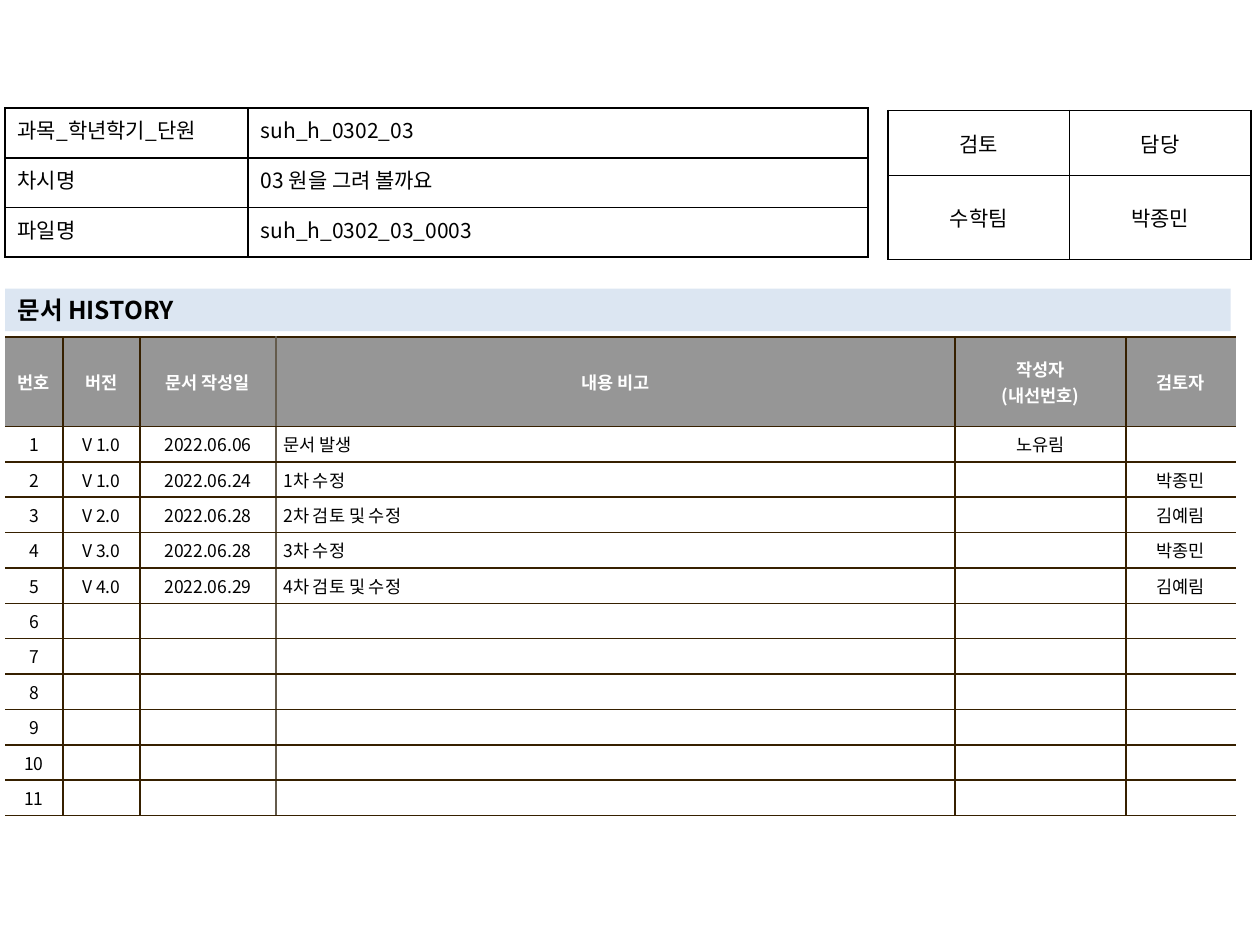
from lxml.etree import SubElement
from pptx import Presentation
from pptx.dml.color import RGBColor
from pptx.enum.shapes import MSO_SHAPE
from pptx.enum.text import MSO_ANCHOR, PP_ALIGN
from pptx.oxml.ns import qn
from pptx.util import Pt

FONT = "Noto Sans CJK KR"
BLACK = RGBColor(0x00, 0x00, 0x00)
WHITE = RGBColor(0xFF, 0xFF, 0xFF)
GRAY = RGBColor(0x96, 0x96, 0x96)
BROWN = RGBColor(0x36, 0x20, 0x00)
TAUPE = RGBColor(0x64, 0x5B, 0x4C)
PALE_BLUE = RGBColor(0xDC, 0xE6, 0xF2)

HEADING = "문서 HISTORY"
HISTORY_HEADER = ["번호", "버전", "문서 작성일", "내용 비고", "작성자\n(내선번호)", "검토자"]
HISTORY_ENTRIES = [
    ["V 1.0", "2022.06.06", "문서 발생", "노유림", ""],
    ["V 1.0", "2022.06.24", "1차 수정", "", "박종민"],
    ["V 2.0", "2022.06.28", "2차 검토 및 수정", "", "김예림"],
    ["V 3.0", "2022.06.28", "3차 수정", "", "박종민"],
    ["V 4.0", "2022.06.29", "4차 검토 및 수정", "", "김예림"],
]
HISTORY_ROW_COUNT = 11
HISTORY_COLUMNS = [33, 44, 77.8, 388, 97.8, 62.6]
NOTE_COLUMN = 3

APPROVAL = [["검토", "담당"], ["수학팀", "박종민"]]
LESSON = [
    ["과목_학년학기_단원", "suh_h_0302_03"],
    ["차시명", "03 원을 그려 볼까요"],
    ["파일명", "suh_h_0302_03_0003"],
]

HISTORY_MARGINS = {"margin_left": Pt(4.3), "margin_right": Pt(4.3),
                   "margin_top": Pt(2.9), "margin_bottom": Pt(2.9)}
WIDE_MARGINS = {"margin_left": Pt(7.2), "margin_right": Pt(7.2),
                "margin_top": Pt(3.6), "margin_bottom": Pt(3.6)}


def write_text(text_frame, text, alignment, size, color, bold=False):
    text_frame.text = text
    for paragraph in text_frame.paragraphs:
        paragraph.alignment = alignment
        if not paragraph.runs:
            SubElement(paragraph._p, qn("a:endParaRPr"), sz=str(size * 100))
        for run in paragraph.runs:
            run.font.color.rgb = color
            for name, value in {"name": FONT, "size": Pt(size), "bold": bold}.items():
                setattr(run.font, name, value)
            SubElement(run._r.get_or_add_rPr(), qn("a:ea"), typeface=FONT)


def draw_borders(cell, borders):
    properties = cell._tc.get_or_add_tcPr()
    for side in "LRTB":
        color = borders.get(side)
        line = SubElement(properties, qn(f"a:ln{side}"), w=str(Pt(1)))
        if color is None:
            SubElement(line, qn("a:noFill"))
        else:
            fill = SubElement(line, qn("a:solidFill"))
            SubElement(fill, qn("a:srgbClr"), val=str(color))


def add_grid(slide, rows, left, top, widths, heights, cell_format):
    frame = slide.shapes.add_table(len(rows), len(widths), Pt(left), Pt(top),
                                   Pt(sum(widths)), Pt(sum(heights)))
    table = frame.table
    table.first_row = False
    table.horz_banding = False
    for column, width in zip(table.columns, widths):
        column.width = Pt(width)
    for row, height in zip(table.rows, heights):
        row.height = Pt(height)
    for row_index, texts in enumerate(rows):
        for column_index, text in enumerate(texts):
            cell = table.cell(row_index, column_index)
            style = cell_format(row_index, column_index)
            for name, value in style["cell"].items():
                setattr(cell, name, value)
            draw_borders(cell, style["borders"])
            if style["fill"] is None:
                cell.fill.background()
            else:
                cell.fill.solid()
                cell.fill.fore_color.rgb = style["fill"]
            write_text(cell.text_frame, text, **style["text"])


def history_format(row, column):
    header = row == 0
    borders = dict.fromkeys("LRTB", BROWN)
    if column == 0:
        del borders["L"]
    if column == len(HISTORY_COLUMNS) - 1:
        del borders["R"]
    if column == NOTE_COLUMN - 1:
        borders["R"] = TAUPE
    if column == NOTE_COLUMN:
        borders["L"] = TAUPE
    is_note = column == NOTE_COLUMN and not header
    return {
        "cell": {**HISTORY_MARGINS, "vertical_anchor": MSO_ANCHOR.MIDDLE},
        "borders": borders,
        "fill": GRAY if header else WHITE,
        "text": {"alignment": PP_ALIGN.LEFT if is_note else PP_ALIGN.CENTER,
                 "size": 10, "color": WHITE if header else BLACK, "bold": header},
    }


def boxed_format(anchor, alignments):
    return lambda row, column: {
        "cell": {**WIDE_MARGINS, "vertical_anchor": anchor},
        "borders": dict.fromkeys("LRTB", BLACK),
        "fill": None,
        "text": {"alignment": alignments[column], "size": 12, "color": BLACK},
    }


def add_heading(slide):
    shape = slide.shapes.add_shape(MSO_SHAPE.RECTANGLE, Pt(2.9), Pt(165), Pt(700.3), Pt(24.2))
    shape.shadow.inherit = False
    shape.fill.solid()
    shape.fill.fore_color.rgb = PALE_BLUE
    shape.line.fill.background()
    frame_format = {"word_wrap": True, "vertical_anchor": MSO_ANCHOR.MIDDLE,
                    "margin_top": 0, "margin_bottom": 0}
    for name, value in frame_format.items():
        setattr(shape.text_frame, name, value)
    write_text(shape.text_frame, HEADING, PP_ALIGN.LEFT, 14, BLACK, True)


def main():
    presentation = Presentation()
    presentation.slide_width = Pt(720)
    presentation.slide_height = Pt(540)
    slide = presentation.slides.add_slide(presentation.slide_layouts[6])

    history = [HISTORY_HEADER]
    for number in range(1, HISTORY_ROW_COUNT + 1):
        entry = HISTORY_ENTRIES[number - 1] if number <= len(HISTORY_ENTRIES) else [""] * 5
        history.append([str(number), *entry])
    add_grid(slide, history, 2.9, 192.7, HISTORY_COLUMNS,
             [51] + [18] * HISTORY_ROW_COUNT, history_format)
    add_grid(slide, APPROVAL, 507.5, 63.2, [103.7] * 2, [37.2, 47.8],
             boxed_format(MSO_ANCHOR.MIDDLE, [PP_ALIGN.CENTER] * 2))
    add_heading(slide)
    add_grid(slide, LESSON, 2.9, 61.8, [138.9, 354.2], [28.4] * 3,
             boxed_format(MSO_ANCHOR.TOP, [PP_ALIGN.JUSTIFY, PP_ALIGN.LEFT]))
    presentation.save("out.pptx")


if __name__ == "__main__":
    main()
